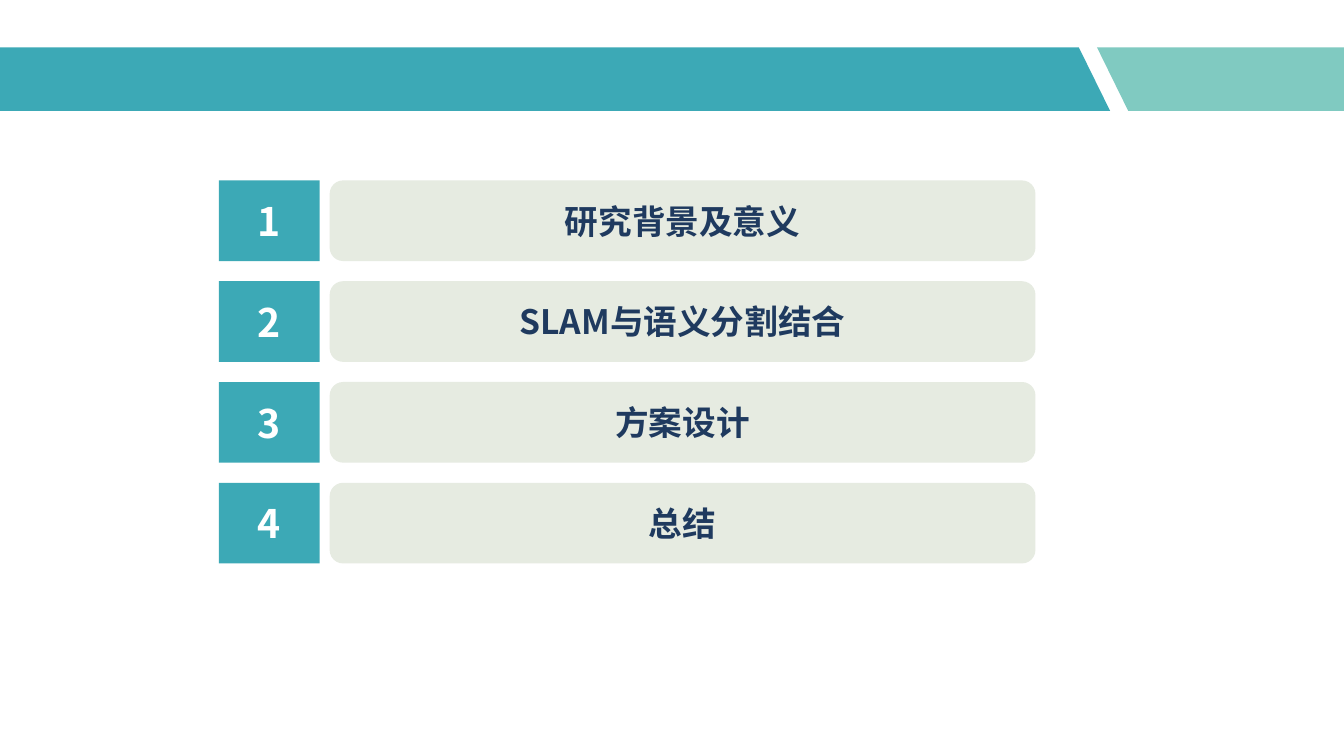
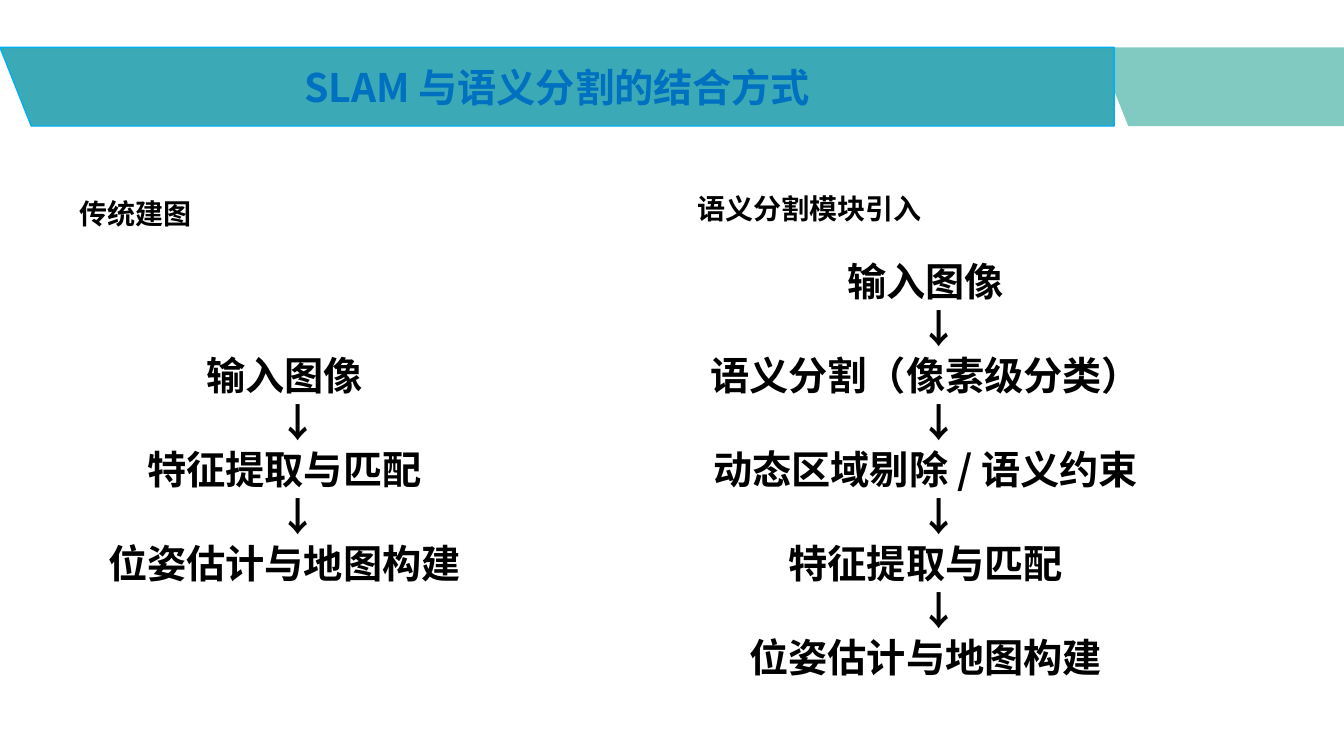
from lxml import etree
from pptx import Presentation
from pptx.dml.color import RGBColor
from pptx.enum import shapes, text
from pptx.oxml.ns import qn
from pptx.util import Inches, Pt

FONT = "Noto Sans CJK SC"
TEAL, MINT, PALE = "3CA9B6", "80CAC1", "E6EBE1"
NAVY, BLUE, CYAN = "1F3A5F", "0070C0", "00B0F0"
BLACK, WHITE = "000000", "FFFFFF"
SLIDE_W, BAND_TOP, SLANT = 13.33, 0.47, 0.31
ARROW = "↓"
ARROW_INDENT = 0.27
LINE_RATIO = 1.2


def rgb(color):
    return RGBColor.from_string(color)


def paint(sp, fill, line=None):
    sp.shadow.inherit = False
    sp.fill.solid()
    sp.fill.fore_color.rgb = rgb(fill)
    if line:
        sp.line.color.rgb = rgb(line)
        sp.line.width = Pt(1)
    else:
        sp.line.fill.background()


def style(p, size, color, align):
    p.alignment = align
    for r in p.runs:
        r.font.size = Pt(size)
        r.font.bold = True
        r.font.name = FONT
        r.font.color.rgb = rgb(color)
        ea = etree.SubElement(r.font._element, qn("a:ea"))
        ea.set("typeface", FONT)


def label(sp, words, size, color):
    tf = sp.text_frame
    tf.text = words
    tf.word_wrap = True
    tf.vertical_anchor = text.MSO_ANCHOR.MIDDLE
    style(tf.paragraphs[0], size, color, text.PP_ALIGN.CENTER)


def add_polygon(s, points, fill, line=None):
    (x, y), *rest = [(Inches(px), Inches(py)) for px, py in points]
    builder = s.shapes.build_freeform(x, y)
    builder.add_line_segments(rest, close=True)
    sp = builder.convert_to_shape()
    paint(sp, fill, line)
    return sp


def add_band(s, height, main_points, line=None):
    top, bottom = BAND_TOP, BAND_TOP + height
    left = 10.88
    add_polygon(s, [(left, top), (SLIDE_W, top), (SLIDE_W, bottom),
                    (left + SLANT, bottom)], MINT)
    return add_polygon(s, main_points(top, bottom), TEAL, line)


def add_box(s, kind, left, top, width, height, fill, words, size, color):
    sp = s.shapes.add_shape(kind, Inches(left), Inches(top), Inches(width), Inches(height))
    paint(sp, fill)
    label(sp, words, size, color)


def add_agenda(s, left, top, items):
    kinds = shapes.MSO_SHAPE
    for i, item in enumerate(items):
        y = top + i
        add_box(s, kinds.RECTANGLE, left, y, 1, 0.8, TEAL, str(i + 1), 28, WHITE)
        add_box(s, kinds.ROUNDED_RECTANGLE, left + 1.1, y, 7, 0.8, PALE, item, 24, NAVY)


def add_text(s, left, top, width, height, lines, size, align):
    sp = s.shapes.add_textbox(Inches(left), Inches(top), Inches(width), Inches(height))
    tf = sp.text_frame
    tf.word_wrap = True
    tf.text = "\n".join(lines)
    for p in tf.paragraphs:
        if p.text == ARROW:
            p._p.get_or_add_pPr().set("marL", str(Inches(ARROW_INDENT)))
        p.line_spacing = Pt(size * LINE_RATIO)
        style(p, size, BLACK, align)


def add_heading(s, left, top, width, words):
    add_text(s, left, top, width, 0.44, [words], 20, text.PP_ALIGN.LEFT)


def add_flow(s, left, top, width, height, steps):
    lines = [steps[0]]
    for step in steps[1:]:
        lines += [ARROW, step]
    add_text(s, left, top, width, height, lines, 28, text.PP_ALIGN.CENTER)


def agenda_slide(s):
    add_band(s, 0.63, lambda top, bottom: [
        (0, top), (10.7, top), (10.7 + SLANT, bottom), (0, bottom)])
    add_agenda(s, 2.17, 1.79, ["研究背景及意义", "SLAM与语义分割结合", "方案设计", "总结"])


def comparison_slide(s):
    band = add_band(s, 0.78, lambda top, bottom: [
        (0, top), (11.05, top), (11.05, bottom), (SLANT, bottom)], CYAN)
    label(band, "SLAM 与语义分割的结合方式", 28, BLUE)
    add_heading(s, 0.69, 1.9, 1.92, "传统建图")
    add_flow(s, 0.4, 3.44, 4.84, 2.76, ["输入图像", "特征提取与匹配", "位姿估计与地图构建"])
    add_heading(s, 6.82, 1.85, 2.95, "语义分割模块引入")
    add_flow(s, 6.39, 2.5, 5.58, 4.34, [
        "输入图像", "语义分割（像素级分类）", "动态区域剔除 / 语义约束",
        "特征提取与匹配", "位姿估计与地图构建"])


def main():
    prs = Presentation()
    prs.slide_width, prs.slide_height = Inches(SLIDE_W), Inches(7.5)
    for build in (agenda_slide, comparison_slide):
        build(prs.slides.add_slide(prs.slide_layouts[6]))
    prs.save("out.pptx")


if __name__ == "__main__":
    main()
